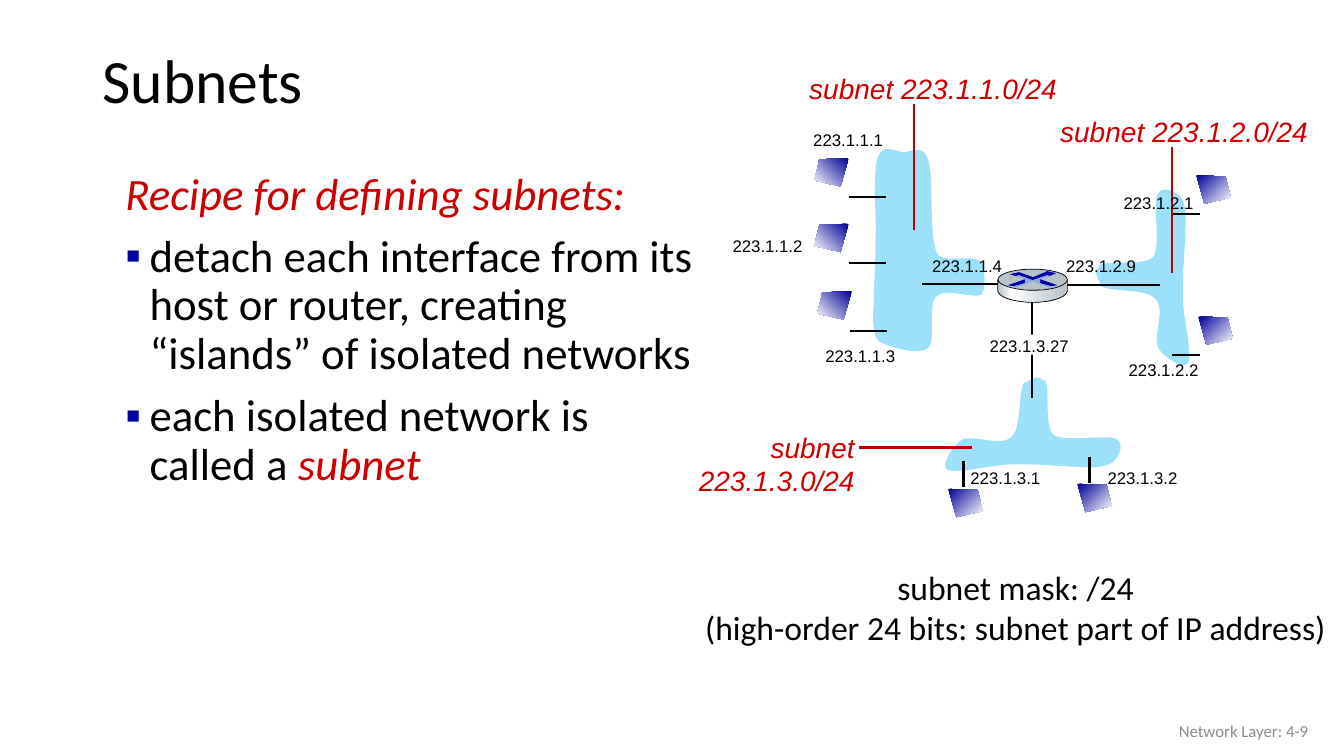
from copy import deepcopy
from lxml import etree
from pptx import Presentation, util as u
from pptx.dml.color import RGBColor
from pptx.enum import shapes, text
from pptx.oxml.ns import qn


class Theme:
    # colours
    black, white, red, rule = "000000", "FFFFFF", "CC0000", "C00000"
    cloud, navy, steel, pale, grey = "9CE0FA", "0000A3", "B8C2C9", "8FAADC", "8C8C8C"
    host = [(0, "000099"), (1, white)]
    metal = [(0, steel), (0.21, white), (0.6, "D6DCE0"), (1, steel)]
    # font, size, colour, italic
    title = ("Calibri", 44, black, False)
    body = ("Calibri", 32, black, False)
    key = ("Calibri", 32, red, True)
    mask = ("Calibri", 24, black, False)
    label = ("Arial", 12, black, False)
    subnet = ("Arial", 20, red, True)
    foot = ("Calibri", 12, grey, False)


INCH = 2.54  # cm; the layout grid below is in inches
rgb = RGBColor.from_string
left, mid, right = text.PP_ALIGN.LEFT, text.PP_ALIGN.CENTER, text.PP_ALIGN.RIGHT

prs = Presentation()
prs.slide_width, prs.slide_height = u.Cm(33.87), u.Cm(19.05)
slide = prs.slides.add_slide(prs.slide_layouts[6])
items = slide.shapes


def write(words, box, style, align=left, wrap=False, middle=False):
    frame = items.add_textbox(*[u.Cm(v * INCH) for v in box]).text_frame
    frame.text = words
    frame.word_wrap = wrap
    if not wrap:
        frame.auto_size = text.MSO_AUTO_SIZE.SHAPE_TO_FIT_TEXT
    if middle:
        frame.vertical_anchor = text.MSO_ANCHOR.MIDDLE
    for para in frame.paragraphs:
        para.alignment = align
        for run in para.runs:
            run.font.name, run.font.italic = style[0], style[3]
            run.font.size = u.Pt(style[1])
            run.font.color.rgb = rgb(style[2])
    return frame


def trace(start, parts, fill, angle=0):
    """Draw a closed outline; a part is a point, or a cubic bend of three points."""
    dots = [start] + [part[n:n + 2] for part in parts for n in range(0, len(part), 2)]
    dots = [(u.Cm(x * INCH), u.Cm(y * INCH)) for x, y in dots]
    pen = items.build_freeform(*dots[0])
    pen.add_line_segments(dots[1:], close=True)
    form = pen.convert_to_shape()
    form.shadow.inherit = False
    form.line.fill.background()
    # Each bend takes its three straight steps as the points of one curve
    steps = iter(list(form._element.spPr.iter(qn("a:lnTo"))))
    for part in parts:
        first = next(steps)
        if len(part) == 6:
            curve = etree.Element(qn("a:cubicBezTo"))
            first.addprevious(curve)
            for step in (first, next(steps), next(steps)):
                curve.append(step[0])
                step.getparent().remove(step)
    if isinstance(fill, str):
        form.fill.solid()
        form.fill.fore_color.rgb = rgb(fill)
    else:
        form.fill.gradient()
        form.fill.gradient_angle = angle
        stops = form._element.spPr.find(".//" + qn("a:gsLst"))
        for _ in fill[2:]:
            stops.append(deepcopy(stops[0]))
        for stop, (place, tone) in zip(form.fill.gradient_stops, fill):
            stop.position, stop.color.rgb = place, rgb(tone)
    return form


# Title and recipe
title = write("Subnets", (0.92, 0.34, 11.5, 0.98), Theme.title, wrap=True, middle=True)
title.paragraphs[0].line_spacing = 0.9
recipe = write("Recipe for defining subnets:\n"
               "detach each interface from its host or router, creating "
               "“islands” of isolated networks\n"
               "each isolated network is called a ",
               (1, 1.65, 6.02, 5.45), Theme.body, wrap=True)
term = recipe.paragraphs[2].add_run()
term.text = "subnet"
term.font.name, term.font.size = Theme.key[0], u.Pt(Theme.key[1])
for run in (recipe.paragraphs[0].runs[0], term):
    run.font.italic = True
    run.font.color.rgb = rgb(Theme.key[2])
for row, para in enumerate(recipe.paragraphs):
    para.line_spacing = 0.9
    props = para._p.get_or_add_pPr()
    props.set("marL", str(u.Cm(0.98)))
    props.set("indent", str(-u.Cm(0.61)))
    if row:
        para.space_before = u.Pt(10)
        tint = etree.SubElement(props, qn("a:buClr"))
        etree.SubElement(tint, qn("a:srgbClr"), val=Theme.navy)
        etree.SubElement(props, qn("a:buFont"), typeface="Arial")
        etree.SubElement(props, qn("a:buChar"), char="▪")

# Subnet clouds: the south one is the east one turned by a quarter
east = [(11.02, 2.9, 11.36, 2.86, 11.46, 2.96), (11.57, 3.06, 11.44, 3.34, 11.49, 3.45),
        (11.55, 3.55, 11.75, 3.67, 11.79, 3.6), (11.83, 3.53, 11.75, 3.17, 11.74, 3.02),
        (11.73, 2.87, 11.74, 2.79, 11.74, 2.68), (11.75, 2.57, 11.75, 2.47, 11.76, 2.37),
        (11.76, 2.27, 11.77, 2.16, 11.76, 2.09), (11.75, 2.01, 11.72, 1.94, 11.67, 1.92),
        (11.63, 1.89, 11.52, 1.84, 11.48, 1.94), (11.44, 2.05, 11.52, 2.46, 11.44, 2.55),
        (11.37, 2.64, 10.98, 2.58, 10.91, 2.63), (10.87, 2.71, 10.85, 2.68, 10.93, 2.84)]
west = [(9.74, 2.47, 9.39, 2.64, 9.3, 2.52), (9.21, 2.34, 9.27, 1.76, 9.21, 1.59),
        (9.16, 1.42, 9.04, 1.51, 8.96, 1.51), (8.88, 1.5, 8.76, 1.42, 8.71, 1.56),
        (8.66, 1.69, 8.69, 2.13, 8.69, 2.31), (8.68, 2.49, 8.69, 2.54, 8.68, 2.65),
        (8.68, 2.76, 8.67, 2.86, 8.67, 2.96), (8.67, 3.06, 8.65, 3.17, 8.67, 3.24),
        (8.68, 3.32, 8.68, 3.38, 8.77, 3.41), (8.86, 3.45, 9.12, 3.53, 9.21, 3.45),
        (9.29, 3.38, 9.2, 3.03, 9.29, 2.94), (9.38, 2.85, 9.66, 2.97, 9.74, 2.92),
        (9.77, 2.84, 9.78, 2.85, 9.76, 2.66)]
south = [[v for x, y in zip(bend[::2], bend[1::2]) for v in (13 - y, x - 7.13)]
         for bend in east]
for bends in (south, east, west):
    trace(bends[-1][-2:], bends, Theme.cloud)

# Wires and callout rules
wires = [(10.24, 2.99, 10.24, 3.95), (8.42, 1.95, 8.79, 1.95), (8.42, 2.61, 8.79, 2.61),
         (8.43, 3.28, 8.8, 3.28), (11.62, 2.12, 11.91, 2.12), (11.63, 3.52, 11.91, 3.52),
         (9.56, 4.57, 9.56, 4.83), (10.81, 4.53, 10.81, 4.79),
         (9.15, 2.82, 10.02, 2.82), (10.44, 2.83, 11.51, 2.83)]
rules = [(9.07, 1.03, 9.07, 2.28), (11.63, 1.46, 11.63, 2.71), (8.52, 4.44, 9.64, 4.44)]
for group, tone in ((wires, Theme.black), (rules, Theme.rule)):
    for ends in group:
        line = items.add_connector(shapes.MSO_CONNECTOR.STRAIGHT,
                                   *[u.Cm(v * INCH) for v in ends])
        line.line.color.rgb = rgb(tone)
        line.line.width = u.Pt(1.5)
        etree.SubElement(line._element.spPr, qn("a:effectLst"))

# White patches behind two addresses, and the router's top
rect, oval = shapes.MSO_SHAPE.RECTANGLE, shapes.MSO_SHAPE.OVAL
for kind, box, tone in [(rect, (7.27, 2.37, 0.91, 0.2), Theme.white),
                        (rect, (9.78, 3.32, 0.93, 0.2), Theme.white),
                        (oval, (9.9, 2.67, 0.69, 0.21), Theme.steel)]:
    top = items.add_shape(kind, *[u.Cm(v * INCH) for v in box])
    top.shadow.inherit = False
    top.fill.solid()
    top.fill.fore_color.rgb = rgb(tone)
    top.line.fill.background()
for tail, x, y in [("1.1", 7.97, 1.24), ("1.2", 7.17, 2.29), ("1.3", 8.09, 3.38),
                   ("1.4", 9.15, 2.49), ("2.9", 10.48, 2.49), ("2.2", 11.1, 3.52),
                   ("2.1", 11.05, 1.86), ("3.2", 10.89, 4.59), ("3.1", 9.53, 4.59),
                   ("3.27", 9.72, 3.28)]:
    write("223.1." + tail, (x, y, 1 if tail == "3.27" else 0.9, 0.3), Theme.label)

# Hosts: side -1 leans left of its corner, 1 leans right
for x, y, side in [(8.42, 1.57, -1), (8.42, 2.22, -1), (8.45, 2.89, -1), (11.87, 1.74, 1),
                   (11.89, 3.14, 1), (10.69, 4.8, 1), (9.41, 4.85, 1)]:
    trace((x, y), [(x + side * a, y + b) for a, b in ((0.29, 0.01), (0.34, 0.22), (0.08, 0.28))],
          Theme.host, 270 + 45 * side)

# Router
rim = trace((10.59, 2.78), [(10.59, 2.89), (10.57, 2.97, 10.37, 3, 10.25, 3),
                            (10.13, 3, 9.92, 2.97, 9.9, 2.89), (9.9, 2.87, 9.9, 2.81, 9.9, 2.78),
                            (9.93, 2.85, 10.13, 2.88, 10.25, 2.88),
                            (10.36, 2.88, 10.56, 2.86, 10.59, 2.78)], Theme.metal)
for form in (rim, top):
    form.line.color.rgb = rgb(Theme.black)
    form.line.width = u.Pt(0.5)
arrows = [((10.39, 2.69), (10.48, 2.71), (10.41, 2.74), (10.39, 2.73), (10.24, 2.78),
           (10.11, 2.73), (10.08, 2.74), (10.02, 2.72), (10.11, 2.7), (10.25, 2.75)),
          ((10.32, 2.77), (10.49, 2.83), (10.43, 2.84), (10.32, 2.81)),
          ((10.17, 2.77), (10.17, 2.81), (10.06, 2.84), (10, 2.83))]
cross = ((10.08, 2.74), (10.11, 2.73), (10.25, 2.78), (10.39, 2.73), (10.42, 2.74),
         (10.32, 2.77), (10.32, 2.81), (10.43, 2.84), (10.4, 2.85), (10.25, 2.79),
         (10.09, 2.85), (10.06, 2.84), (10.17, 2.81), (10.17, 2.77))
for dots, tone in [(arrow, Theme.navy) for arrow in arrows] + [(cross, Theme.pale)]:
    trace(dots[0], dots[1:], tone)

# Captions
write("subnet mask: /24\n(high-order 24 bits: subnet part of IP address)",
      (6.87, 5.57, 6.41, 0.91), Theme.mask, mid)
write("subnet\n223.1.3.0/24", (6.82, 4.22, 1.76, 0.77), Theme.subnet, right)
write("subnet 223.1.1.0/24", (7.93, 0.66, 2.72, 0.44), Theme.subnet)
write("subnet 223.1.2.0/24", (10.42, 1.09, 2.72, 0.44), Theme.subnet)
write("Network Layer: 4-9", (10.08, 7.05, 3, 0.4), Theme.foot, right, wrap=True, middle=True)

prs.save("out.pptx")
